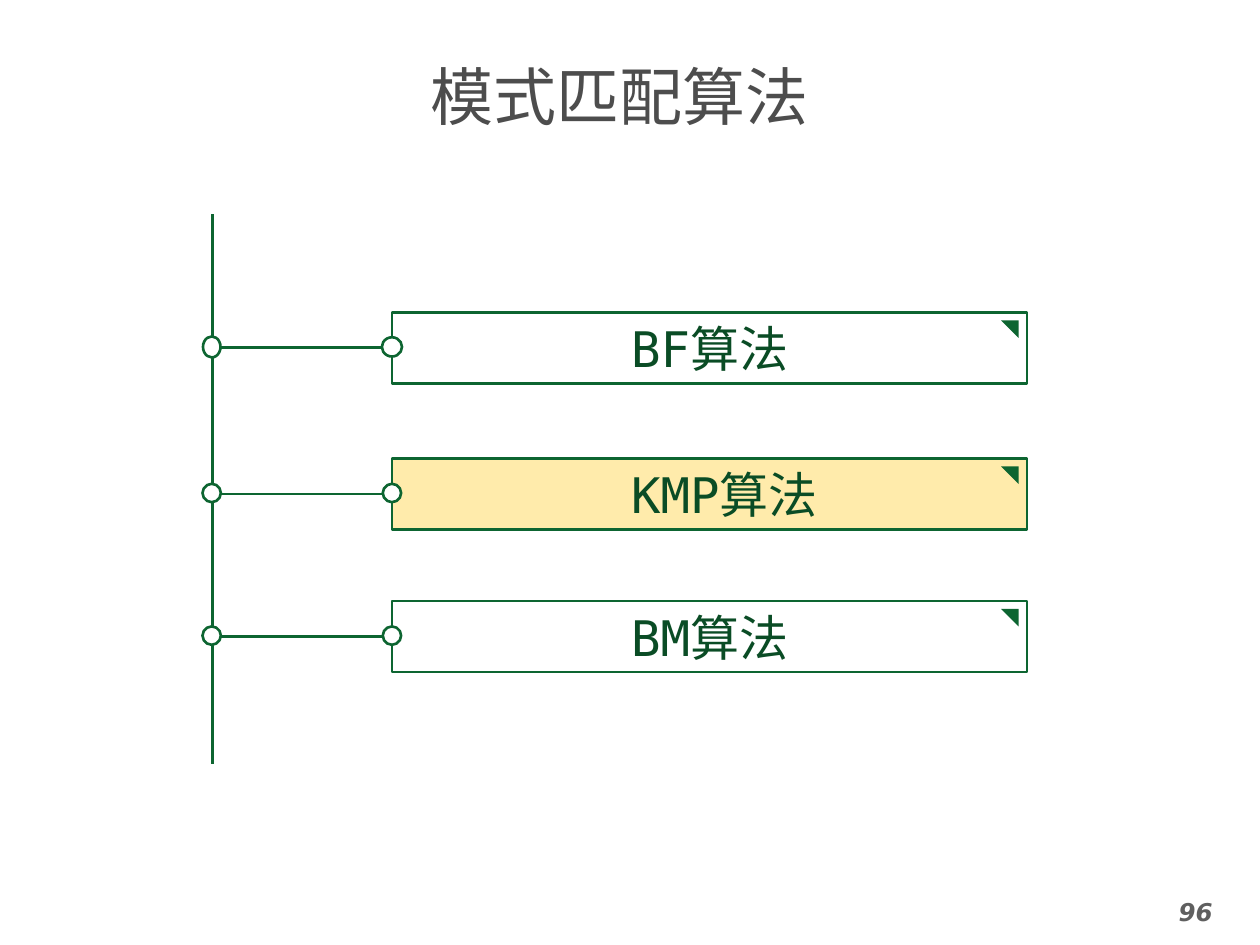
from lxml import etree
from pptx import Presentation
from pptx.dml.color import RGBColor
from pptx.enum import shapes, text
from pptx.oxml import ns
from pptx.util import Pt

GREEN = RGBColor(0x0D, 0x65, 0x31)
DARK_GREEN = RGBColor(0x0A, 0x4C, 0x25)
WHITE = RGBColor(0xFF, 0xFF, 0xFF)
YELLOW = RGBColor(0xFF, 0xEB, 0xAB)
TITLE_GRAY = RGBColor(0x4D, 0x4D, 0x4D)
NUMBER_GRAY = RGBColor(0x5F, 0x5F, 0x5F)
SANS = "DejaVu Sans"
MONO = "DejaVu Sans Mono"
SPINE_X = 121.5
DOT = (10.5, 10.5)

ALGORITHMS = [
    ("BF算法", 178.5, WHITE, (10, 12), (11.5, 11)),
    (" KMP算法", 262, YELLOW, DOT, DOT),
    ("BM算法", 343.5, WHITE, DOT, DOT),
]


def write(frame, wording, size, font, color, bold=False, italic=False):
    frame.word_wrap = True
    para = frame.paragraphs[0]
    para.alignment = text.PP_ALIGN.CENTER
    span = para.add_run()
    span.text = wording
    span.font.size = Pt(size)
    span.font.name = font
    span.font.color.rgb = color
    span.font.bold = bold
    span.font.italic = italic


def add_label(page, left, top, width, height, wording, anchor, **style):
    box = page.shapes.add_textbox(Pt(left), Pt(top), Pt(width), Pt(height))
    box.text_frame.vertical_anchor = anchor
    write(box.text_frame, wording, **style)


def add_figure(parent, kind, left, top, width, height, fill, outlined=True):
    figure = parent.shapes.add_shape(kind, Pt(left), Pt(top), Pt(width), Pt(height))
    figure.shadow.inherit = False
    figure.fill.solid()
    figure.fill.fore_color.rgb = fill
    if outlined:
        figure.line.color.rgb = GREEN
        figure.line.width = Pt(1.5)
    else:
        figure.line.fill.background()
    return figure


def add_line(parent, left, top, right, bottom):
    line = parent.shapes.add_connector(
        shapes.MSO_CONNECTOR.STRAIGHT, Pt(left), Pt(top), Pt(right), Pt(bottom))
    line.line.color.rgb = GREEN
    line.line.width = Pt(1.5)
    etree.SubElement(line._element.spPr, ns.qn("a:effectLst"))
    return line


def add_algorithm(page, left, top, width, height, wording, fill, dots):
    group = page.shapes.add_group_shape()
    middle = top + height / 2
    box = add_figure(group, shapes.MSO_SHAPE.RECTANGLE, left, top, width, height, fill)
    frame = box.text_frame
    frame.margin_left = frame.margin_top = frame.margin_right = frame.margin_bottom = 0
    frame.vertical_anchor = text.MSO_ANCHOR.MIDDLE
    write(frame, wording, 28, MONO, DARK_GREEN)
    corner = add_figure(group, shapes.MSO_SHAPE.RIGHT_TRIANGLE,
                        left + width - 15, top + 4.5, 10, 10, GREEN, outlined=False)
    corner.rotation = 180
    branch = add_line(group, left, middle, SPINE_X - 5.5, middle)
    branch.begin_connect(box, 1)
    for center, (dot_width, dot_height) in zip((SPINE_X - 0.5, left), dots):
        add_figure(group, shapes.MSO_SHAPE.OVAL, center - dot_width / 2,
                   middle - 0.5 - dot_height / 2, dot_width, dot_height, WHITE)


def add_diagram(page, left, top, width, height):
    add_line(page, SPINE_X, top, SPINE_X, top + height)
    for wording, row_top, fill, *dots in ALGORITHMS:
        add_algorithm(page, left, row_top, width, 40.5, wording, fill, dots)


def main():
    deck = Presentation()
    deck.slide_width, deck.slide_height = Pt(720), Pt(540)
    page = deck.slides.add_slide(deck.slide_layouts[6])
    add_label(page, 42, 29.5, 624, 50.5, "模式匹配算法", text.MSO_ANCHOR.MIDDLE,
              size=36, font=MONO, color=TITLE_GRAY)
    add_label(page, 646.5, 509, 73.5, 31, "96", text.MSO_ANCHOR.TOP,
              size=14, font=SANS, color=NUMBER_GRAY, bold=True, italic=True)
    add_diagram(page, 224, 122.5, 363, 314)
    deck.save("out.pptx")


if __name__ == "__main__":
    main()
